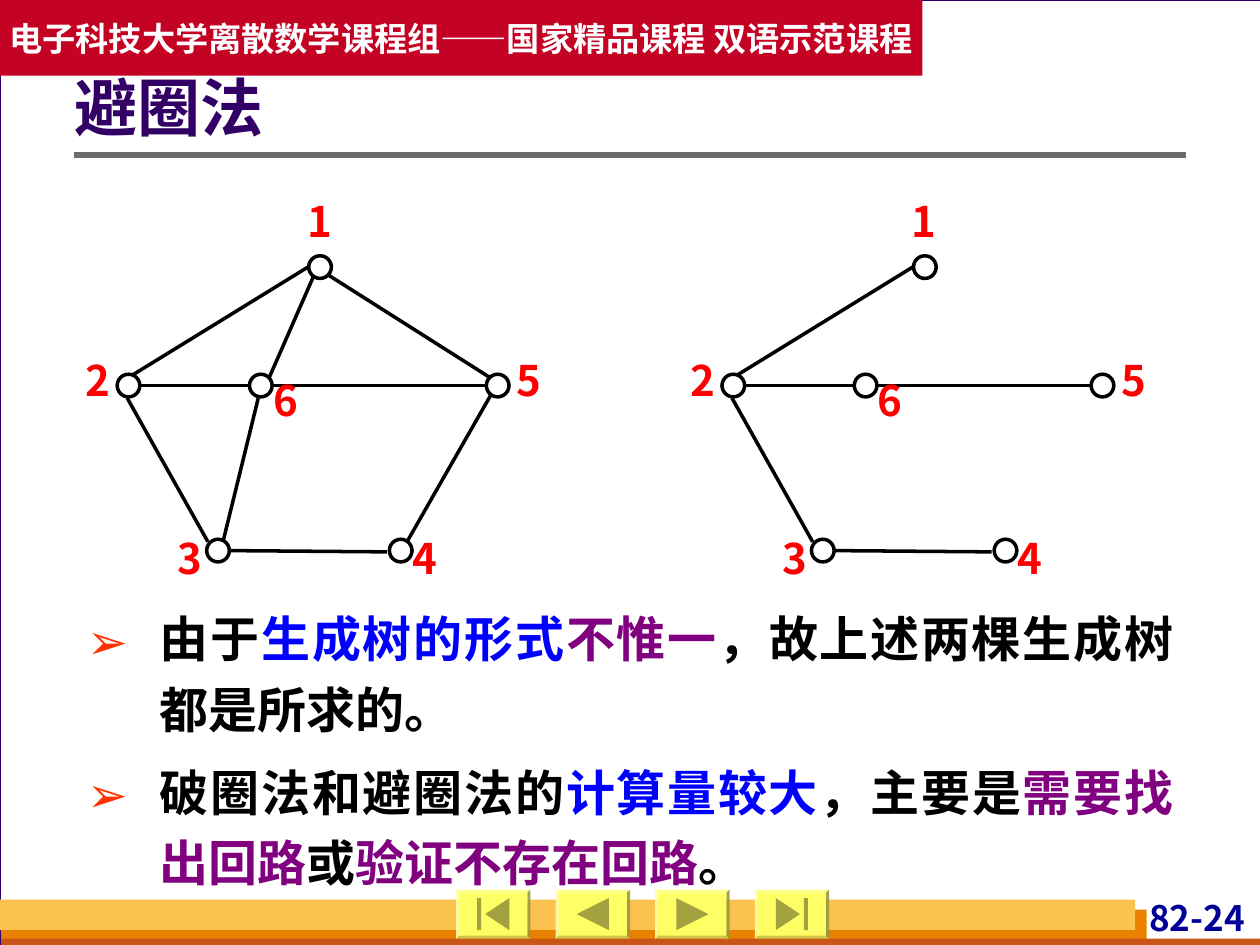
from dataclasses import dataclass

from lxml import etree
from pptx import Presentation
from pptx.dml.color import RGBColor
from pptx.enum import shapes, text
from pptx.oxml.ns import qn
from pptx.util import Inches, Pt

FONT = "Noto Sans CJK SC"
COLORS = {
    "white": "FFFFFF", "black": "000000", "gray": "D8DADA", "rule": "6B6B6B",
    "indigo": "330066", "navy": "000099", "red": "FF0000", "crimson": "C30224",
    "blue": "0000FF", "purple": "800080", "bullet": "FF3300", "yellow": "FFFF66",
    "amber": "FCC24F", "orange": "E88000", "rust": "C95616",
}
NODE_SIZE = 0.18
LABEL_W, LABEL_H = 0.35, 0.4
BUTTON_W, BUTTON_H, BEVEL = 0.59, 0.39, 0.025


@dataclass
class Node:
    name: str
    left: float
    top: float
    label_left: float
    label_top: float


@dataclass
class Edge:
    start: tuple[float, float]
    end: tuple[float, float]
    in_tree: bool = False


@dataclass
class Bar:
    left: float
    top: float
    width: float
    height: float
    color: str
    outline: str | None = None


NODES = [
    Node("1", 2.45, 2.03, 2.36, 1.55),
    Node("2", 0.93, 2.97, 0.6, 2.81),
    Node("3", 1.64, 4.28, 1.33, 4.23),
    Node("4", 3.09, 4.28, 3.2, 4.23),
    Node("5", 3.86, 2.97, 4.02, 2.81),
    Node("6", 1.98, 2.97, 2.09, 2.97),
]
EDGES = [
    Edge((2.49, 2.19), (2.14, 2.99)),
    Edge((2.16, 3.06), (3.86, 3.06), True),
    Edge((2.05, 3.16), (1.77, 4.3)),
    Edge((1.1, 3.06), (1.99, 3.06), True),
    Edge((2.46, 2.11), (1.03, 2.99), True),
    Edge((3.91, 3.11), (3.23, 4.3)),
    Edge((1.8, 4.37), (3.07, 4.38), True),
    Edge((2.57, 2.16), (3.91, 3.01)),
    Edge((1.01, 3.16), (1.65, 4.3), True),
]
BARS = [
    Bar(0, 0, 10.01, 7.5, "white", "indigo"),
    Bar(0.01, 7.22, 9.09, 0.28, "orange"),
    Bar(0.01, 7.45, 10, 0.08, "rust"),
    Bar(0, 7.14, 9.01, 0.24, "amber"),
]
BUTTONS = [
    shapes.MSO_SHAPE.ACTION_BUTTON_BEGINNING,
    shapes.MSO_SHAPE.ACTION_BUTTON_BACK_OR_PREVIOUS,
    shapes.MSO_SHAPE.ACTION_BUTTON_FORWARD_OR_NEXT,
    shapes.MSO_SHAPE.ACTION_BUTTON_END,
]
POINTS = [
    [("由于", "black"), ("生成树的形式", "blue"), ("不惟一", "purple"),
     ("，故上述两棵生成树都是所求的。", "black")],
    [("破圈法和避圈法的", "black"), ("计算量较大", "blue"), ("，主要是", "black"),
     ("需要找出回路", "purple"), ("或", "black"), ("验证不存在回路", "purple"),
     ("。", "black")],
]


def rgb(name: str) -> RGBColor:
    return RGBColor.from_string(COLORS[name])


def box(*lengths: float) -> list[int]:
    return [Inches(n) for n in lengths]


def style_run(r, size: float, color: str) -> None:
    r.font.size, r.font.bold = Pt(size), True
    r.font.color.rgb = rgb(color)
    r.font.name = FONT
    etree.SubElement(r.font._element, qn("a:ea")).set("typeface", FONT)


def set_frame(tf, insets: tuple, anchor, wrap: bool = True) -> None:
    tf.margin_left, tf.margin_top, tf.margin_right, tf.margin_bottom = box(*insets)
    tf.vertical_anchor, tf.word_wrap = anchor, wrap


def write_line(sp, content: str, size: float, color: str, align, insets: tuple,
               wrap: bool = True) -> None:
    tf = sp.text_frame
    tf.text = content
    set_frame(tf, insets, text.MSO_ANCHOR.MIDDLE, wrap)
    p = tf.paragraphs[0]
    p.alignment = align
    style_run(p.runs[0], size, color)


def add_filled(parent, kind, place: tuple, color: str, outline: str | None = None,
               line_width: float = 0.75):
    sp = parent.add_shape(kind, *box(*place))
    sp.shadow.inherit = False
    sp.fill.solid()
    sp.fill.fore_color.rgb = rgb(color)
    if outline:
        sp.line.color.rgb = rgb(outline)
        sp.line.width = Pt(line_width)
    else:
        sp.line.fill.background()
    return sp


def add_line(parent, start: tuple, end: tuple, color: str, width: float) -> None:
    line = parent.add_connector(shapes.MSO_CONNECTOR.STRAIGHT, *box(*start, *end))
    line.line.color.rgb = rgb(color)
    line.line.width = Pt(width)
    etree.SubElement(line._element.spPr, qn("a:effectLst"))


def add_button(parent, kind, left: float, top: float) -> None:
    rim = add_filled(parent, shapes.MSO_SHAPE.BEVEL, (left, top, BUTTON_W, BUTTON_H),
                     "yellow")
    rim.adjustments[0] = BEVEL / BUTTON_H
    face = add_filled(parent, kind, (left + BEVEL, top + BEVEL, BUTTON_W - 2 * BEVEL,
                                     BUTTON_H - 2 * BEVEL), "yellow")
    for sp in (rim, face):
        fill = sp._element.spPr.find(qn("a:solidFill"))
        etree.SubElement(fill[0], qn("a:alpha")).set("val", "90000")


def draw_graph(parent, dx: float, edges: list[Edge]) -> None:
    for e in edges:
        add_line(parent, (e.start[0] + dx, e.start[1]), (e.end[0] + dx, e.end[1]),
                 "black", 2)
    for n in NODES:
        add_filled(parent, shapes.MSO_SHAPE.OVAL,
                   (n.left + dx, n.top, NODE_SIZE, NODE_SIZE), "white", "black", 2)
    for n in NODES:
        label = parent.add_textbox(
            *box(n.label_left + dx, n.label_top, LABEL_W, LABEL_H))
        write_line(label, n.name, 24, "red", text.PP_ALIGN.CENTER, (0, 0, 0, 0))


def add_bullet(p) -> None:
    pPr = p._p.get_or_add_pPr()
    pPr.set("marL", str(Inches(0.58)))
    pPr.set("indent", str(-Inches(0.58)))
    color = etree.SubElement(pPr, qn("a:buClr"))
    etree.SubElement(color, qn("a:srgbClr")).set("val", COLORS["bullet"])
    etree.SubElement(pPr, qn("a:buFont")).set("typeface", FONT)
    etree.SubElement(pPr, qn("a:buChar")).set("char", "➢")


def main() -> None:
    prs = Presentation()
    prs.slide_width, prs.slide_height = Inches(10), Inches(7.5)
    s = prs.slides.add_slide(prs.slide_layouts[5])
    s.background.fill.solid()
    s.background.fill.fore_color.rgb = rgb("gray")

    # Frame, footer bars and page number
    for b in BARS:
        add_filled(s.shapes, shapes.MSO_SHAPE.RECTANGLE,
                   (b.left, b.top, b.width, b.height), b.color, b.outline)
    number = s.shapes.add_textbox(*box(8.86, 7.09, 1.06, 0.38))
    write_line(number, "82-24", 20, "navy", text.PP_ALIGN.RIGHT, (0.04, 0, 0.04, 0))
    add_line(s.shapes, (0.59, 1.23), (9.41, 1.23), "rule", 3)

    # Navigation buttons
    for i, kind in enumerate(BUTTONS):
        add_button(s.shapes, kind, 3.62 + 0.79 * i, 7.06)

    # Course banner
    banner = add_filled(s.shapes, shapes.MSO_SHAPE.RECTANGLE, (0, 0, 7.32, 0.6), "crimson")
    write_line(banner, "电子科技大学离散数学课程组——国家精品课程 双语示范课程", 19, "white",
               text.PP_ALIGN.CENTER, (0, 0.05, 0, 0.05), wrap=False)

    # Title, brought in front of the frame
    title = s.shapes.title
    title.left, title.top, title.width, title.height = box(0.59, 0.38, 8.82, 1.01)
    write_line(title, "避圈法", 36, "indigo", text.PP_ALIGN.LEFT, (0, 0.05, 0.1, 0.05))
    title.text_frame.paragraphs[0].line_spacing = 0.9
    title._element.getparent().append(title._element)

    # Bulleted remarks
    tf = s.shapes.add_textbox(*box(0.59, 4.69, 8.82, 2.44)).text_frame
    set_frame(tf, (0.1, 0.05, 0.1, 0.05), text.MSO_ANCHOR.TOP)
    for i, point in enumerate(POINTS):
        p = tf.add_paragraph() if i else tf.paragraphs[0]
        add_bullet(p)
        p.alignment = text.PP_ALIGN.JUSTIFY
        p.line_spacing = 1.2
        if i:
            p.space_before = Pt(7)
        for words, color in point:
            r = p.add_run()
            r.text = words
            style_run(r, 28, color)

    # Graph and its spanning tree
    draw_graph(s.shapes.add_group_shape().shapes, 0, EDGES)
    draw_graph(s.shapes, 4.8, [e for e in EDGES if e.in_tree])

    prs.save("out.pptx")


if __name__ == "__main__":
    main()
